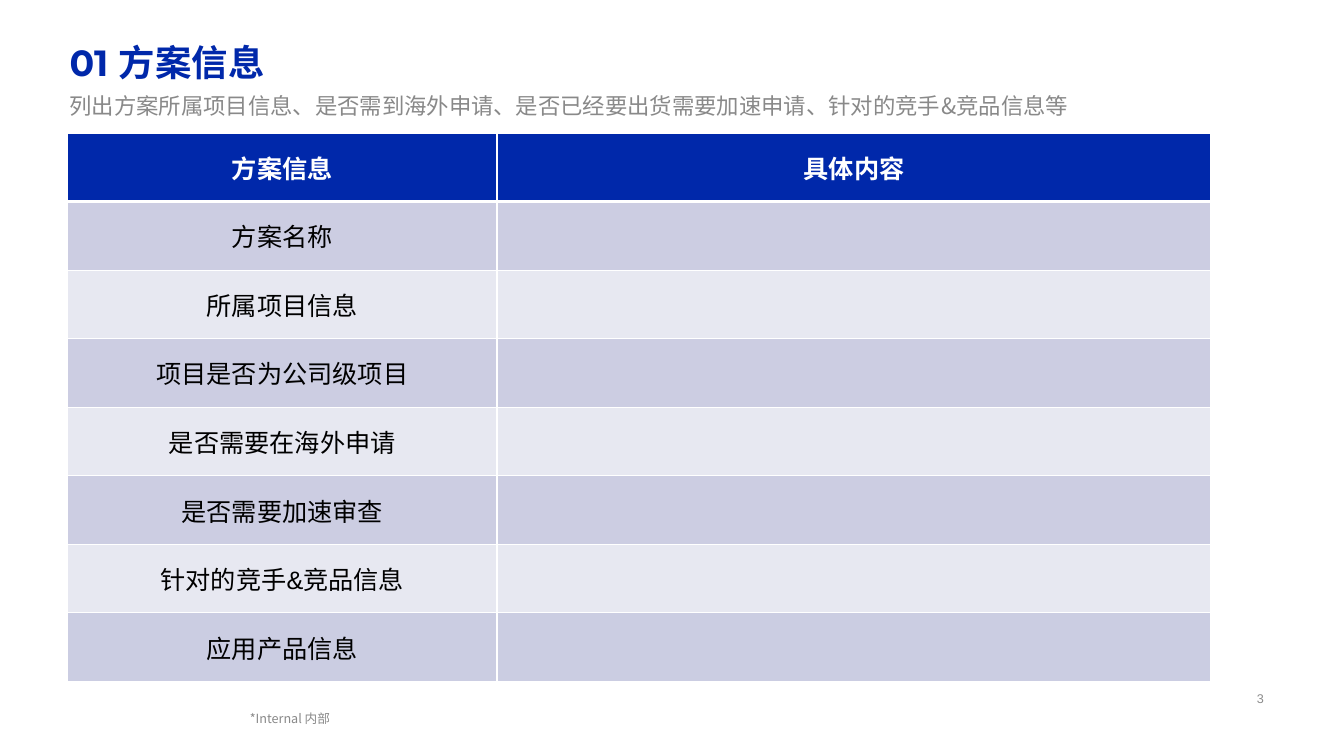
import pptx
import pptx.dml.color
import pptx.enum.text
import pptx.oxml
import pptx.oxml.ns
import pptx.util
from pptx.dml.color import RGBColor
from pptx.enum.text import MSO_ANCHOR, MSO_AUTO_SIZE, PP_ALIGN
from pptx.util import Inches, Pt

BLUE = RGBColor(0x00, 0x28, 0xAA)
WHITE = RGBColor(0xFF, 0xFF, 0xFF)
BLACK = RGBColor(0x00, 0x00, 0x00)
GREY = RGBColor(0x89, 0x89, 0x89)
NUMBER_GREY = RGBColor(0x8C, 0x8C, 0x8C)
DARK_BAND = RGBColor(0xCC, 0xCD, 0xE2)
LIGHT_BAND = RGBColor(0xE7, 0xE8, 0xF1)
LAST_BAND = RGBColor(0xCB, 0xCD, 0xE2)

CJK = "Noto Sans CJK SC"
COLUMN_WIDTHS = (4.26, 7.08)
ROW_HEIGHT = 0.68
TABLE_LEFT = 0.67
HEADERS = ("方案信息", "具体内容")
TOPICS = ("方案名称", "所属项目信息", "项目是否为公司级项目", "是否需要在海外申请",
          "是否需要加速审查", "针对的竞手&竞品信息")


def write_text(frame, text, *, font, size, color, bold=False, east_asian=CJK,
               align=PP_ALIGN.LEFT, anchor=None, inset=None, spacing=None):
    """Fill a text frame with one formatted paragraph and return it."""
    if anchor is not None:
        frame.vertical_anchor = anchor
    if inset is not None:
        frame.margin_left = frame.margin_right = Inches(inset)
        frame.margin_top = frame.margin_bottom = Inches(inset)
    para = frame.paragraphs[0]
    para.alignment = align
    para.space_before = Pt(0)
    if spacing is not None:
        para.line_spacing = spacing
    span = para.add_run()
    span.text = text
    span.font.name = font
    span.font.size = Pt(size)
    span.font.bold = bold
    span.font.color.rgb = color
    properties = span.font._element
    typeface = properties.makeelement(pptx.oxml.ns.qn("a:ea"), {"typeface": east_asian})
    properties.append(typeface)
    return para


def place(box, left, top, width, height):
    """Position a box and keep its size fixed."""
    box.left, box.top = Inches(left), Inches(top)
    box.width, box.height = Inches(width), Inches(height)
    box.text_frame.word_wrap = True
    box.text_frame.auto_size = MSO_AUTO_SIZE.NONE


def add_label(page, text, bounds, **text_format):
    box = page.shapes.add_textbox(*(Inches(length) for length in bounds))
    place(box, *bounds)
    write_text(box.text_frame, text, anchor=MSO_ANCHOR.MIDDLE, size=9, **text_format)


def set_borders(cell, top, bottom):
    """Draw white borders; top and bottom widths are in points."""
    properties = cell._tc.get_or_add_tcPr()
    for side, width in (("L", 1), ("R", 1), ("T", top), ("B", bottom)):
        properties.append(pptx.oxml.parse_xml(
            f'<a:ln{side} {pptx.oxml.ns.nsdecls("a")} w="{Pt(width)}">'
            f'<a:solidFill><a:srgbClr val="{WHITE}"/></a:solidFill></a:ln{side}>'))


def add_band_table(page, top, rows, fills, header=False):
    """Add a two-column table with one fill per row."""
    frame = page.shapes.add_table(
        len(rows), len(COLUMN_WIDTHS), Inches(TABLE_LEFT), Inches(top),
        Inches(sum(COLUMN_WIDTHS)), Inches(ROW_HEIGHT * len(rows)))
    table = frame.table
    table.first_row = header
    table.horz_banding = False
    for column, width in zip(table.columns, COLUMN_WIDTHS):
        column.width = Inches(width)
    for index, (texts, fill) in enumerate(zip(rows, fills)):
        table.rows[index].height = Inches(ROW_HEIGHT)
        is_header = header and index == 0
        for cell, text in zip(table.rows[index].cells, texts):
            set_borders(cell, top=3 if header and index == 1 else 1,
                        bottom=3 if is_header else 1)
            cell.fill.solid()
            cell.fill.fore_color.rgb = fill
            cell.vertical_anchor = MSO_ANCHOR.MIDDLE
            if text:
                write_text(cell.text_frame, text, font="Arial", size=18,
                           color=WHITE if is_header else BLACK,
                           bold=is_header, align=PP_ALIGN.CENTER)


def main():
    deck = pptx.Presentation()
    deck.slide_width, deck.slide_height = Inches(13.33), Inches(7.5)
    page = deck.slides.add_slide(deck.slide_layouts[1])

    # Title
    title = page.shapes.title
    place(title, 0.59, 0.4, 12.16, 0.56)
    write_text(title.text_frame, "01 方案信息", font="Montserrat", east_asian="Montserrat",
               size=26, color=BLUE, bold=True, anchor=MSO_ANCHOR.TOP, spacing=0.9)

    # Guidance line under the title
    guidance = page.placeholders[1]
    place(guidance, 0.62, 0.84, 10.37, 0.4)
    para = write_text(
        guidance.text_frame,
        "列出方案所属项目信息、是否需到海外申请、是否已经要出货需要加速申请、针对的竞手&竞品信息等",
        font=CJK, size=16, color=GREY, anchor=MSO_ANCHOR.TOP, inset=0.07)
    properties = para._p.get_or_add_pPr()
    properties.set("marL", str(Inches(0.5)))
    properties.set("indent", str(Inches(-0.5)))
    properties.append(properties.makeelement(pptx.oxml.ns.qn("a:buNone"), {}))

    # Information tables
    fills = [BLUE] + [LIGHT_BAND if index % 2 else DARK_BAND for index in range(len(TOPICS))]
    rows = [HEADERS] + [(topic, "") for topic in TOPICS]
    add_band_table(page, 1.32, rows, fills, header=True)
    add_band_table(page, 6.08, [("应用产品信息", "")], [LAST_BAND])

    # Footer and page number
    add_label(page, "*Internal 内部", (2.38, 6.99, 4.5, 0.27), font=CJK, color=GREY)
    add_label(page, "3", (12.31, 6.76, 0.38, 0.33), font="Arial", color=NUMBER_GREY,
              align=PP_ALIGN.CENTER)

    deck.save("out.pptx")


if __name__ == "__main__":
    main()
